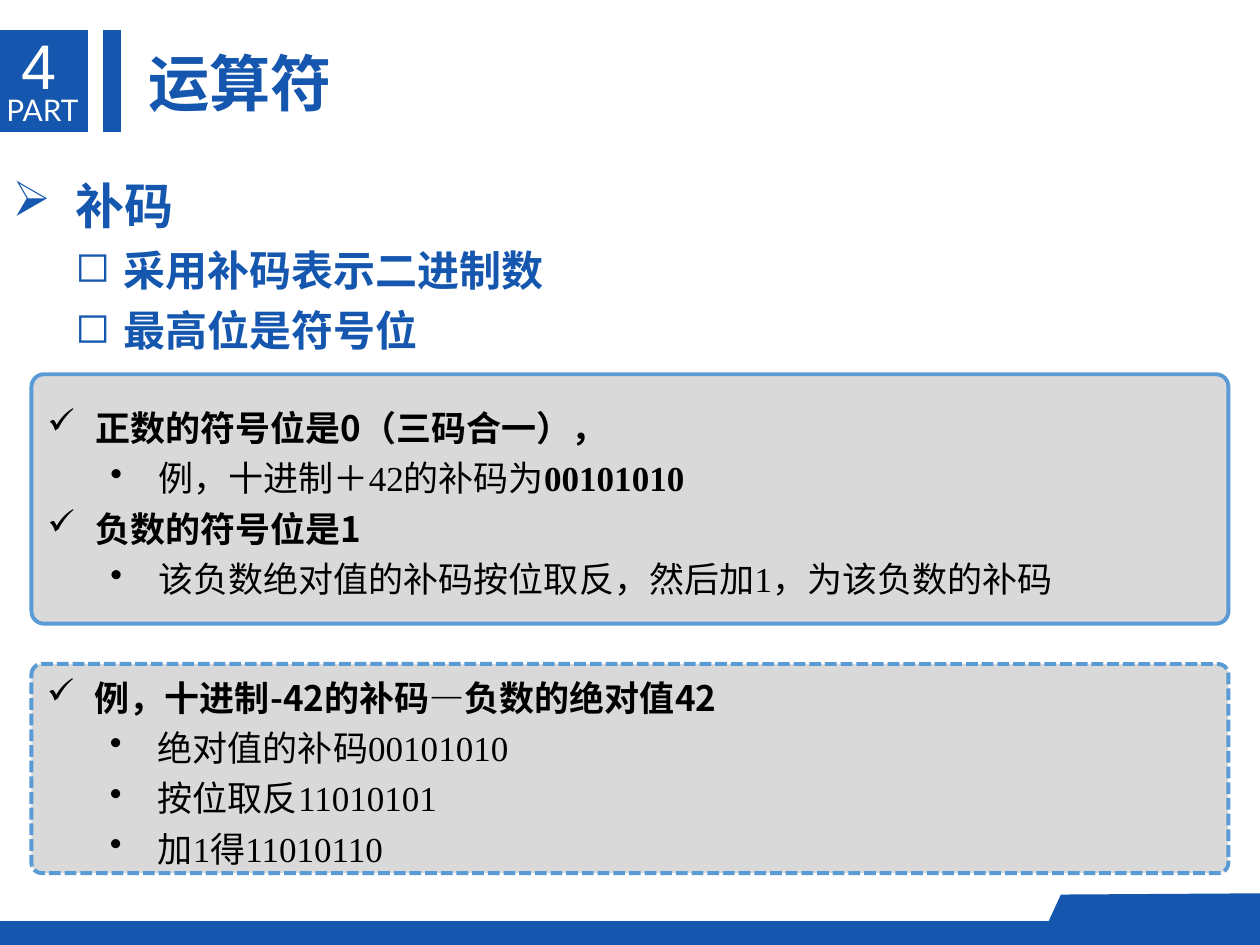
from dataclasses import dataclass

from lxml import etree
from pptx import Presentation
from pptx.dml.color import RGBColor
from pptx.enum import dml, shapes, text
from pptx.oxml import ns
from pptx.util import Inches, Pt

BLUE = RGBColor(0x15, 0x57, 0xAE)
BORDER = RGBColor(0x5B, 0x9B, 0xD5)
GREY = RGBColor(0xD9, 0xD9, 0xD9)
BLACK = RGBColor(0, 0, 0)
WHITE = RGBColor(0xFF, 0xFF, 0xFF)
SANS, SERIF = "Noto Sans CJK SC", "Times New Roman"


@dataclass(frozen=True)
class Style:
    size: float
    font: str
    color: RGBColor
    bold: bool = False
    bullet: str = ""
    margin: float = 0
    hanging: float = 0
    level: int = 0
    justify: bool = False


@dataclass(frozen=True)
class Line:
    words: str
    style: Style
    strong: str = ""


@dataclass(frozen=True)
class Card:
    top: float
    height: float
    lines: list[Line]
    dashed: bool = False


PART = Style(17, "Lato", WHITE)
NUMBER = Style(36, "Arial", WHITE)
TITLE = Style(35, SANS, BLUE, True)
TOPIC = Style(28, SERIF, BLUE, True, "➢", 0.5, 0.5)
SUBTOPIC = Style(24, SERIF, BLUE, True, "◻", 0.88, 0.38, 1)
CHECK = Style(20, SANS, BLACK, True, "✓", 0.38, 0.38, 0, True)
DETAIL = Style(20, SERIF, BLACK, False, "•", 0.88, 0.38, 1, True)

OUTLINE = [
    Line("补码", TOPIC),
    Line("采用补码表示二进制数", SUBTOPIC),
    Line("最高位是符号位", SUBTOPIC),
]
CARDS = [
    Card(2.97, 1.98, [
        Line("正数的符号位是0（三码合一），", CHECK),
        Line("例，十进制＋42的补码为", DETAIL, "00101010"),
        Line("负数的符号位是1", CHECK),
        Line("该负数绝对值的补码按位取反，然后加1，为该负数的补码", DETAIL),
    ]),
    Card(5.27, 1.66, [
        Line("例，十进制-42的补码—负数的绝对值42", CHECK),
        Line("绝对值的补码00101010", DETAIL),
        Line("按位取反11010101", DETAIL),
        Line("加1得11010110", DETAIL),
    ], dashed=True),
]


def write_lines(frame, lines: list[Line]) -> None:
    for index, line in enumerate(lines):
        style = line.style
        paragraph = frame.add_paragraph() if index else frame.paragraphs[0]
        paragraph.level = style.level
        paragraph.alignment = (text.PP_ALIGN.JUSTIFY if style.justify
                               else text.PP_ALIGN.LEFT)
        properties = paragraph._p.get_or_add_pPr()
        if style.bullet:
            paragraph.line_spacing = 1.2
            properties.set("marL", str(Inches(style.margin)))
            properties.set("indent", str(-Inches(style.hanging)))
            bullet = etree.SubElement(properties, ns.qn("a:buChar"))
            bullet.set("char", style.bullet)
        font = paragraph.font
        font.size, font.name, font.bold = Pt(style.size), style.font, style.bold
        font.color.rgb = style.color
        # Chinese glyphs share one typeface
        defaults = properties.find(ns.qn("a:defRPr"))
        etree.SubElement(defaults, ns.qn("a:ea")).set("typeface", SANS)
        paragraph.add_run().text = line.words
        if line.strong:
            strong = paragraph.add_run()
            strong.text = line.strong
            strong.font.bold = True


def add_bar(slide, left: float, top: float, width: float, height: float) -> None:
    bar = slide.shapes.add_shape(
        shapes.MSO_SHAPE.FLOWCHART_PROCESS,
        Inches(left), Inches(top), Inches(width), Inches(height))
    paint_blue(bar)


def paint_blue(shape) -> None:
    shape.shadow.inherit = False
    shape.fill.solid()
    shape.fill.fore_color.rgb = BLUE
    shape.line.fill.background()


def add_text(slide, left: float, top: float, width: float, height: float,
             lines: list[Line], wrap: bool = False, inset: bool = True) -> None:
    box = slide.shapes.add_textbox(
        Inches(left), Inches(top), Inches(width), Inches(height))
    frame = box.text_frame
    frame.word_wrap = wrap
    frame.auto_size = text.MSO_AUTO_SIZE.SHAPE_TO_FIT_TEXT
    if not inset:
        frame.margin_left = frame.margin_right = 0
        frame.margin_top = frame.margin_bottom = 0
    write_lines(frame, lines)


def add_card(slide, card: Card) -> None:
    panel = slide.shapes.add_shape(
        shapes.MSO_SHAPE.ROUNDED_RECTANGLE,
        Inches(0.25), Inches(card.top), Inches(9.5), Inches(card.height))
    panel.adjustments[0] = 0.05
    panel.shadow.inherit = False
    panel.fill.solid()
    panel.fill.fore_color.rgb = GREY
    panel.line.color.rgb = BORDER
    panel.line.width = Pt(2.25)
    if card.dashed:
        panel.line.dash_style = dml.MSO_LINE.SQUARE_DOT
        # Short dashes rather than dots
        panel.line._ln.find(ns.qn("a:prstDash")).set("val", "sysDash")
    frame = panel.text_frame
    frame.word_wrap = True
    frame.vertical_anchor = text.MSO_ANCHOR.MIDDLE
    write_lines(frame, card.lines)


def main() -> None:
    deck = Presentation()
    deck.slide_width, deck.slide_height = Inches(10), Inches(7.5)
    slide = deck.slides.add_slide(deck.slide_layouts[6])

    # Header blocks and footer band
    add_bar(slide, 0, 0.24, 0.7, 0.81)
    add_bar(slide, 0.82, 0.24, 0.14, 0.81)
    add_bar(slide, 0, 7.31, 10, 0.19)

    # Raised tab at the right of the footer
    tab = slide.shapes.build_freeform(Inches(10), Inches(7.45), scale=1.0)
    corners = [(10, 7.09), (8.42, 7.1), (8.26, 7.45)]
    tab.add_line_segments([(Inches(x), Inches(y)) for x, y in corners])
    paint_blue(tab.convert_to_shape())

    # Section number and title
    add_text(slide, 0.05, 0.73, 0.6, 0.29, [Line("PART", PART)], inset=False)
    add_text(slide, 0.07, 0.16, 0.53, 0.71, [Line("4", NUMBER)])
    add_text(slide, 1.08, 0.31, 1.67, 0.69, [Line("运算符", TITLE)])

    # Outline and explanation cards
    add_text(slide, 0, 1.25, 10, 1.59, OUTLINE, wrap=True)
    for card in CARDS:
        add_card(slide, card)

    deck.save("out.pptx")


if __name__ == "__main__":
    main()
